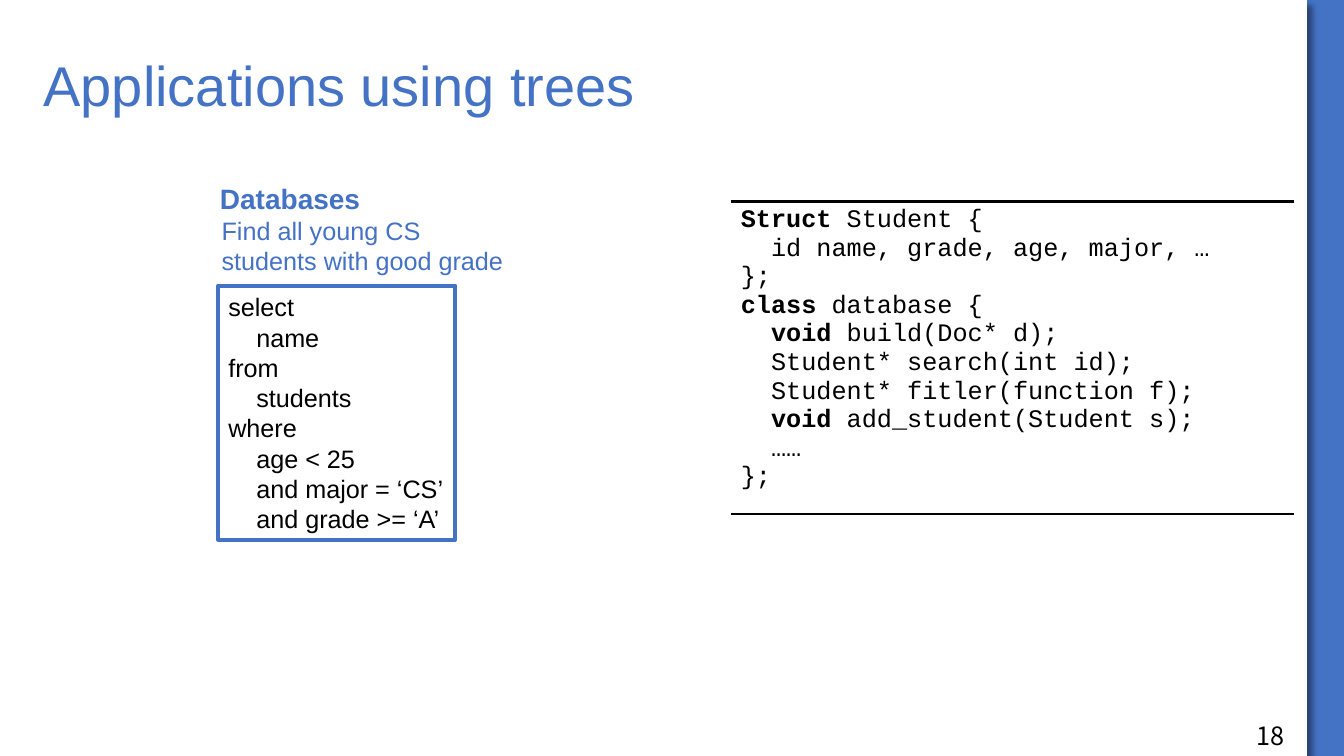
"""Build the slide on applications that use trees."""
import pptx
import pptx.dml.color
import pptx.enum.shapes
import pptx.enum.text
import pptx.oxml
import pptx.oxml.ns
import pptx.util

CELL = pptx.util.Inches(1 / 12)
COLUMNS, ROWS = 160, 90
BLUE, BLACK, WHITE = "4472C4", "000000", "FFFFFF"

QUERY = [
    "select",
    "    name",
    "from",
    "    students",
    "where",
    "    age < 25",
    "    and major = ‘CS’",
    "    and grade >= ‘A’",
]
INTERFACE = [
    "|Struct |Student {",
    "  id name, grade, age, major, …",
    "};",
    "|class| database {",
    "  |void| build(Doc* d);",
    "  Student* search(int id);",
    "  Student* fitler(function f);",
    "  |void |add_student(Student s);",
    "  ……",
    "};",
]


def grid(*cells):
    """Turn grid cells into lengths."""
    return [round(count * CELL) for count in cells]


def paint(color_format, value):
    """Set a colour from a hex string."""
    color_format.rgb = pptx.dml.color.RGBColor.from_string(value)


def fill_solid(fill, value):
    """Give a fill one solid colour."""
    fill.solid()
    paint(fill.fore_color, value)


def add_xml(parent, xml):
    """Append a DrawingML fragment to an element."""
    declaration = pptx.oxml.ns.nsdecls("a")
    parent.append(pptx.oxml.parse_xml(xml.replace(" ", f" {declaration} ", 1)))


def write(frame, lines, size, color=BLACK, font="Arial"):
    """Write lines, with the parts between bars in bold."""
    for index, line in enumerate(lines):
        paragraph = frame.paragraphs[0] if index == 0 else frame.add_paragraph()
        paragraph.alignment = pptx.enum.text.PP_ALIGN.LEFT
        paragraph.font.size = pptx.util.Pt(size)
        paragraph.font.name = font
        paint(paragraph.font.color, color)
        for part, words in enumerate(line.split("|")):
            if words:
                run = paragraph.add_run()
                run.text = words
                if part % 2:
                    run.font.bold = True


def add_label(slide, area, text, size, color=BLUE, font="Arial", wrap=True):
    """Add a text box and return its frame."""
    frame = slide.shapes.add_textbox(*grid(*area)).text_frame
    frame.word_wrap = wrap
    write(frame, [text], size, color, font)
    return frame


def add_box(slide, area):
    """Add a rectangle without shadow, fill or line."""
    box = slide.shapes.add_shape(
        pptx.enum.shapes.MSO_SHAPE.RECTANGLE, *grid(*area))
    box.shadow.inherit = False
    box.fill.background()
    box.line.fill.background()
    return box


def add_page(slide):
    """Lay the white page with its shadow on the blue background."""
    fill_solid(slide.background.fill, BLUE)
    page = add_box(slide, (0, 0, 155.6, ROWS))
    fill_solid(page.fill, WHITE)
    effects = page.element.spPr.find(pptx.oxml.ns.qn("a:effectLst"))
    add_xml(effects, '<a:outerShdw blurRad="50800" dist="76200" dir="2700000" '
            'algn="tl" rotWithShape="0"><a:srgbClr val="000000">'
            '<a:alpha val="40000"/></a:srgbClr></a:outerShdw>')


def add_query(slide, area):
    """Add the framed database query."""
    box = add_box(slide, area)
    fill_solid(box.line.fill, BLUE)
    box.line.width = pptx.util.Pt(3)
    box.text_frame.word_wrap = False
    write(box.text_frame, QUERY, 18)


def add_listing(slide, area):
    """Add the code table, ruled above and below."""
    table = slide.shapes.add_table(1, 1, *grid(*area)).table
    table.first_row = table.horz_banding = False
    cell = table.cell(0, 0)
    write(cell.text_frame, INTERFACE, 18, font="Courier New")
    properties = cell._tc.get_or_add_tcPr()
    for side in ("lnL", "lnR"):
        add_xml(properties, f'<a:{side} w="0"><a:noFill/></a:{side}>')
    for side in ("lnT", "lnB"):
        add_xml(properties, f'<a:{side} w="25400"><a:solidFill>'
                f'<a:srgbClr val="{BLACK}"/></a:solidFill></a:{side}>')
    fill_solid(cell.fill, WHITE)


def main():
    """Build and save the slide."""
    deck = pptx.Presentation()
    deck.slide_width, deck.slide_height = grid(COLUMNS, ROWS)
    slide = deck.slides.add_slide(deck.slide_layouts[6])
    add_page(slide)
    title = add_label(slide, (4, 6, 148, 9), "Applications using trees", 40)
    title.vertical_anchor = pptx.enum.text.MSO_ANCHOR.MIDDLE
    title.paragraphs[0].line_spacing = 0.9
    add_label(slide, (148.4, 85.2, 10.3, 4.8), "18", 18, BLACK,
              "Noto Sans CJK SC")
    add_query(slide, (26, 34, 28.2, 30.25))
    add_label(slide, (25, 21, 19.3, 5.3), "|Databases|", 20, wrap=False)
    add_label(slide, (25.2, 25, 37.8, 8.5),
              "Find all young CS students with good grade", 18)
    add_listing(slide, (87, 24, 67, 37.2))
    deck.save("out.pptx")


if __name__ == "__main__":
    main()
